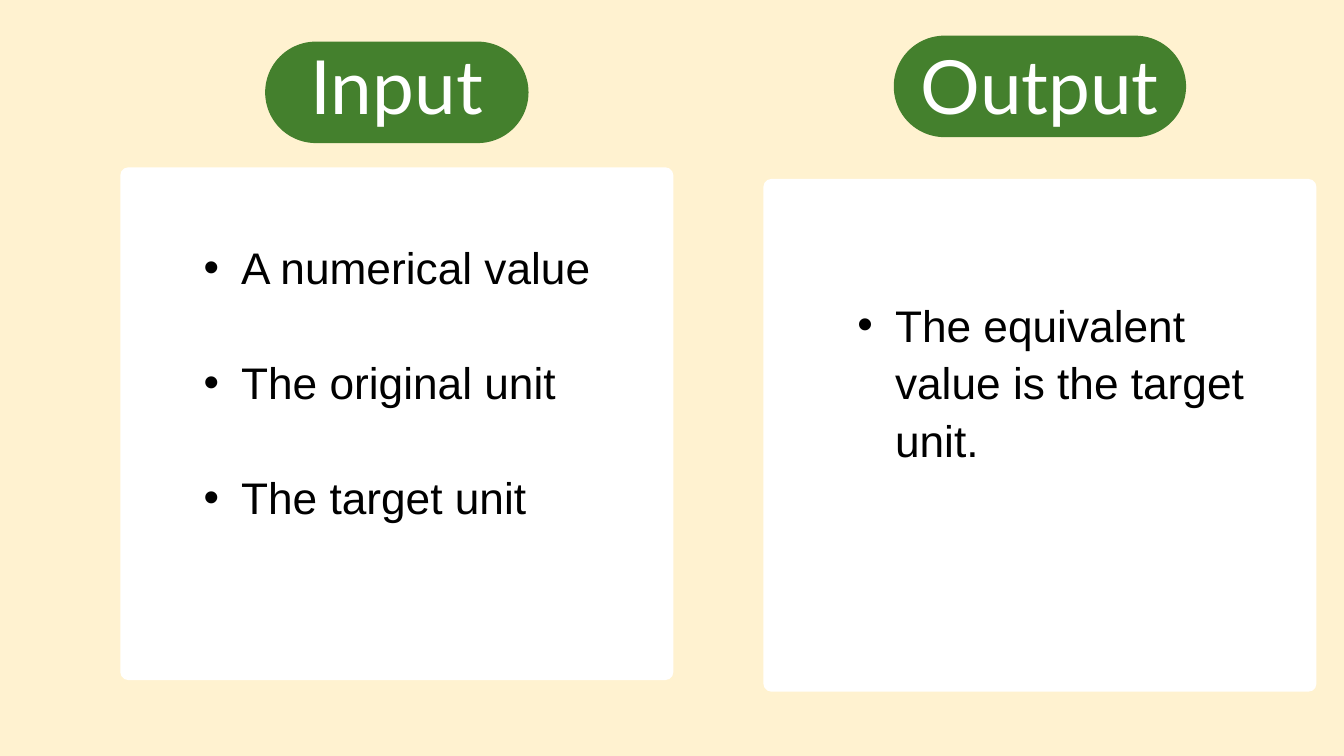
from lxml.etree import SubElement
from pptx import Presentation
from pptx.dml.color import RGBColor
from pptx.enum.shapes import MSO_SHAPE as Preset
from pptx.enum.text import PP_ALIGN as Align
from pptx.oxml.ns import qn
from pptx.util import Pt

COLORS = {"cream": "FFF2D0", "green": "44802D", "white": "FFFFFF", "black": "000000"}
CARD_WIDTH, CARD_HEIGHT = 592.6, 549.4
PILL_HEIGHT = 108.7
TITLE_TOP, TITLE_HEIGHT = 47.5, 93
LIST_WIDTH = 494.6
LINE_HEIGHT = 61.6


def add_panel(slide, box, color, rounding):
    """Draw a plain rounded panel in the given box."""
    panel = slide.shapes.add_shape(Preset.ROUNDED_RECTANGLE, *map(Pt, box))
    panel.adjustments[0] = rounding
    panel.shadow.inherit = False
    panel.fill.solid()
    panel.fill.fore_color.rgb = RGBColor.from_string(COLORS[color])
    panel.line.fill.background()


def add_frame(slide, box):
    """Return the wrapping, margin-free text frame of a new text box."""
    frame = slide.shapes.add_textbox(*map(Pt, box)).text_frame
    frame.word_wrap = True
    frame.margin_left = frame.margin_top = frame.margin_right = frame.margin_bottom = 0
    return frame


def add_run(paragraph, text, font, size, color):
    """Append one formatted run to a paragraph."""
    run = paragraph.add_run()
    run.text = text
    run.font.name = font
    run.font.size = Pt(size)
    run.font.color.rgb = RGBColor.from_string(COLORS[color])


def add_title(slide, box, title):
    """Write a centred heading in the given box."""
    paragraph = add_frame(slide, box).paragraphs[0]
    paragraph.alignment = Align.CENTER
    paragraph.line_spacing = Pt(91.2)
    add_run(paragraph, title, "Lato", 80, "white")


def add_bullets(slide, box, items):
    """Write bulleted items, one empty line's height apart."""
    frame = add_frame(slide, box)
    for index, item in enumerate(items):
        paragraph = frame.add_paragraph() if index else frame.paragraphs[0]
        paragraph.line_spacing = Pt(LINE_HEIGHT)
        paragraph.space_before = Pt(LINE_HEIGHT if index else 0)
        properties = paragraph._p.get_or_add_pPr()
        properties.set("marL", str(Pt(80.6)))
        properties.set("indent", str(Pt(-40.3)))
        SubElement(properties, qn("a:buFont"), typeface="Arial")
        SubElement(properties, qn("a:buChar"), char="•")
        add_run(paragraph, item, "Arial", 47.4, "black")


def add_column(slide, left, card_top, pill_top, pill_width, title, list_offset, items):
    """Place a card with its bullets and a heading pill centred above it."""
    pill_left = left + (CARD_WIDTH - pill_width) / 2
    list_left, list_top = left + list_offset[0], card_top + list_offset[1]
    list_height = CARD_HEIGHT - list_offset[1]
    add_panel(slide, (left, card_top, CARD_WIDTH, CARD_HEIGHT), "white", 0.0157)
    add_panel(slide, (pill_left, pill_top, pill_width, PILL_HEIGHT), "green", 0.5)
    add_title(slide, (pill_left, TITLE_TOP, pill_width, TITLE_HEIGHT), title)
    add_bullets(slide, (list_left, list_top, LIST_WIDTH, list_height), items)


def main():
    """Build the input and output slide."""
    deck = Presentation()
    deck.slide_width, deck.slide_height = Pt(1440), Pt(810)
    slide = deck.slides.add_slide(deck.slide_layouts[6])
    slide.background.fill.solid()
    slide.background.fill.fore_color.rgb = RGBColor.from_string(COLORS["cream"])
    inputs = ["A numerical value", "The original unit", "The target unit"]
    outputs = ["The equivalent value is the target unit."]
    add_column(slide, 128.9, 179.3, 44.6, 282.2, "Input", (48.9, 73.4), inputs)
    add_column(slide, 817.9, 191.7, 38.2, 313.2, "Output", (60.5, 122.9), outputs)
    deck.save("out.pptx")


if __name__ == "__main__":
    main()
